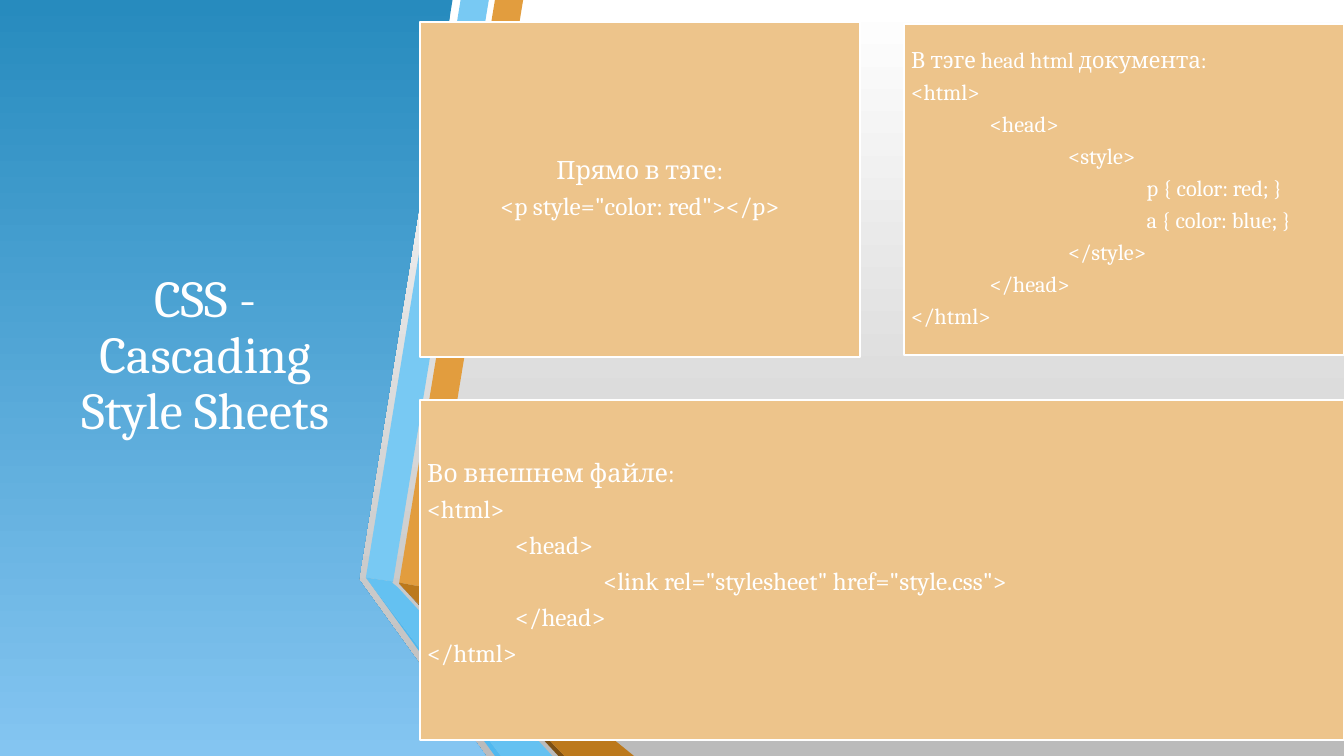
from lxml.etree import SubElement
from pptx import Presentation
from pptx.dml.color import RGBColor
from pptx.enum.shapes import MSO_SHAPE as Shape
from pptx.enum.text import MSO_ANCHOR as Anchor, PP_ALIGN as Align
from pptx.oxml.ns import qn
from pptx.util import Inches, Pt

COLUMNS, ROWS = 160, 90
BLANK_LAYOUT = 6


def color(hex_string):
    return RGBColor.from_string(hex_string)


def set_formats(target, formats):
    for name, value in formats.items():
        setattr(target, name, value)


class CssSlide:
    """Holds the style and the current slide; lengths are grid columns and rows."""

    font_name = "Cambria"
    text_color = "FFFFFF"
    card_color = "EDC48B"
    inset = 0.84

    def __init__(self, presentation):
        self.slide = presentation.slides.add_slide(
            presentation.slide_layouts[BLANK_LAYOUT])
        self.column = presentation.slide_width / COLUMNS
        self.row = presentation.slide_height / ROWS

    def x(self, columns):
        return round(columns * self.column)

    def y(self, rows):
        return round(rows * self.row)

    def frame(self, left, top, width, height):
        return self.x(left), self.y(top), self.x(width), self.y(height)

    def gradient(self, fill, top_color, bottom_color):
        fill.gradient()
        fill.gradient_angle = 270
        for stop, hex_string in zip(fill.gradient_stops, (top_color, bottom_color)):
            stop.color.rgb = color(hex_string)

    def background(self, top_color, bottom_color):
        self.gradient(self.slide.background.fill, top_color, bottom_color)

    def polygon(self, points, *colors):
        corners = [(self.x(column), self.y(row)) for column, row in points]
        builder = self.slide.shapes.build_freeform(*corners[0], scale=1.0)
        builder.add_line_segments(corners[1:], close=True)
        shape = builder.convert_to_shape()
        shape.shadow.inherit = False
        shape.line.fill.background()
        if len(colors) == 2:
            self.gradient(shape.fill, *colors)
        else:
            shape.fill.solid()
            shape.fill.fore_color.rgb = color(colors[0])

    def fill_paragraph(self, paragraph, text, size, align):
        set_formats(paragraph, {"alignment": align, "line_spacing": 0.9})
        run = paragraph.add_run()
        run.text = text
        set_formats(run.font, {"name": self.font_name, "size": Pt(size)})
        run.font.color.rgb = color(self.text_color)

    def title(self, frame, text, size):
        text_frame = self.slide.shapes.add_textbox(*self.frame(*frame)).text_frame
        set_formats(text_frame, {"word_wrap": True, "vertical_anchor": Anchor.MIDDLE})
        self.fill_paragraph(text_frame.paragraphs[0], text, size, Align.CENTER)

    def space_and_tabs(self, paragraph, tab_width):
        properties = paragraph._p.get_or_add_pPr()
        space_after = SubElement(properties, qn("a:spcAft"))
        SubElement(space_after, qn("a:spcPct"), val="35000")
        if tab_width:
            tab_list = SubElement(properties, qn("a:tabLst"))
            for level in (1, 2, 3):
                SubElement(tab_list, qn("a:tab"),
                           pos=str(self.x(level * tab_width)), algn="l")

    def card(self, frame, lines, size, align=Align.LEFT, tab_width=0, bottom=inset):
        shape = self.slide.shapes.add_shape(Shape.RECTANGLE, *self.frame(*frame))
        shape.shadow.inherit = False
        shape.fill.solid()
        shape.fill.fore_color.rgb = color(self.card_color)
        shape.line.color.rgb = color(self.text_color)
        shape.line.width = Pt(1.25)
        text_frame = shape.text_frame
        set_formats(text_frame, {
            "word_wrap": True, "vertical_anchor": Anchor.MIDDLE,
            "margin_left": self.x(self.inset), "margin_right": self.x(self.inset),
            "margin_top": self.y(self.inset), "margin_bottom": self.y(bottom)})
        for index, line in enumerate(lines):
            paragraph = text_frame.add_paragraph() if index else text_frame.paragraphs[0]
            self.fill_paragraph(paragraph, line, size, align)
            self.space_and_tabs(paragraph, tab_width)


# Folded ribbon: colour and corners of each facet, back to front
RIBBON = [
    ("E29D3E", [(47.52, 69.36), (50.76, 69.96), (62.28, 0), (58.92, 0)]),
    ("78C9F3", [(58.2, 0), (54.84, 0), (43.56, 68.76), (46.8, 69.24)]),
    ("4FB8EF", [(43.56, 68.76), (58.92, 90), (59.64, 90)]),
    ("7D5013", [(47.52, 69.48), (66.48, 90), (67.2, 90)]),
    ("BC791C", [(47.52, 69.48), (67.2, 90), (75.48, 90), (50.76, 69.96),
                (47.52, 69.36)]),
    ("64C1F1", [(65.76, 90), (47.4, 69.96), (46.68, 69.36), (46.8, 69.24),
                (43.56, 68.76), (59.64, 90)]),
]
PANEL = [(0, 0), (53.88, 0), (42.72, 69), (57.84, 90), (0, 90)]

INLINE = ["Прямо в тэге:", '<p style="color: red"></p>']
IN_HEAD = ["В тэге head html документа:", "<html>", "\t<head>", "\t\t<style>",
           "\t\t\tp { color: red; }", "\t\t\ta { color: blue; }",
           "\t\t</style>", "\t</head>", "</html>"]
EXTERNAL = ["Во внешнем файле:", "<html>", "\t<head>",
            '\t\t<link rel="stylesheet" href="style.css">', "\t</head>", "</html>"]


def main():
    presentation = Presentation()
    set_formats(presentation, {"slide_width": Inches(13.33),
                               "slide_height": Inches(7.5)})
    css = CssSlide(presentation)

    # Backdrop, title panel and ribbon
    css.background("FFFFFF", "BBBBBB")
    css.polygon(PANEL, "278BBE", "84C5F1")
    css.title((7.08, 9, 34.68, 66.96), "CSS - Cascading Style Sheets", 37)
    for facet_color, corners in RIBBON:
        css.polygon(corners, facet_color)

    # Three ways to attach styles
    css.card((50, 2.64, 52.36, 39.84), INLINE, 18, Align.CENTER)
    css.card((107.64, 2.88, 52.36, 39.36), IN_HEAD, 16, tab_width=9.34)
    css.card((50, 47.64, 110, 40.44), EXTERNAL, 18, tab_width=10.5, bottom=2.1)

    presentation.save("out.pptx")


if __name__ == "__main__":
    main()
